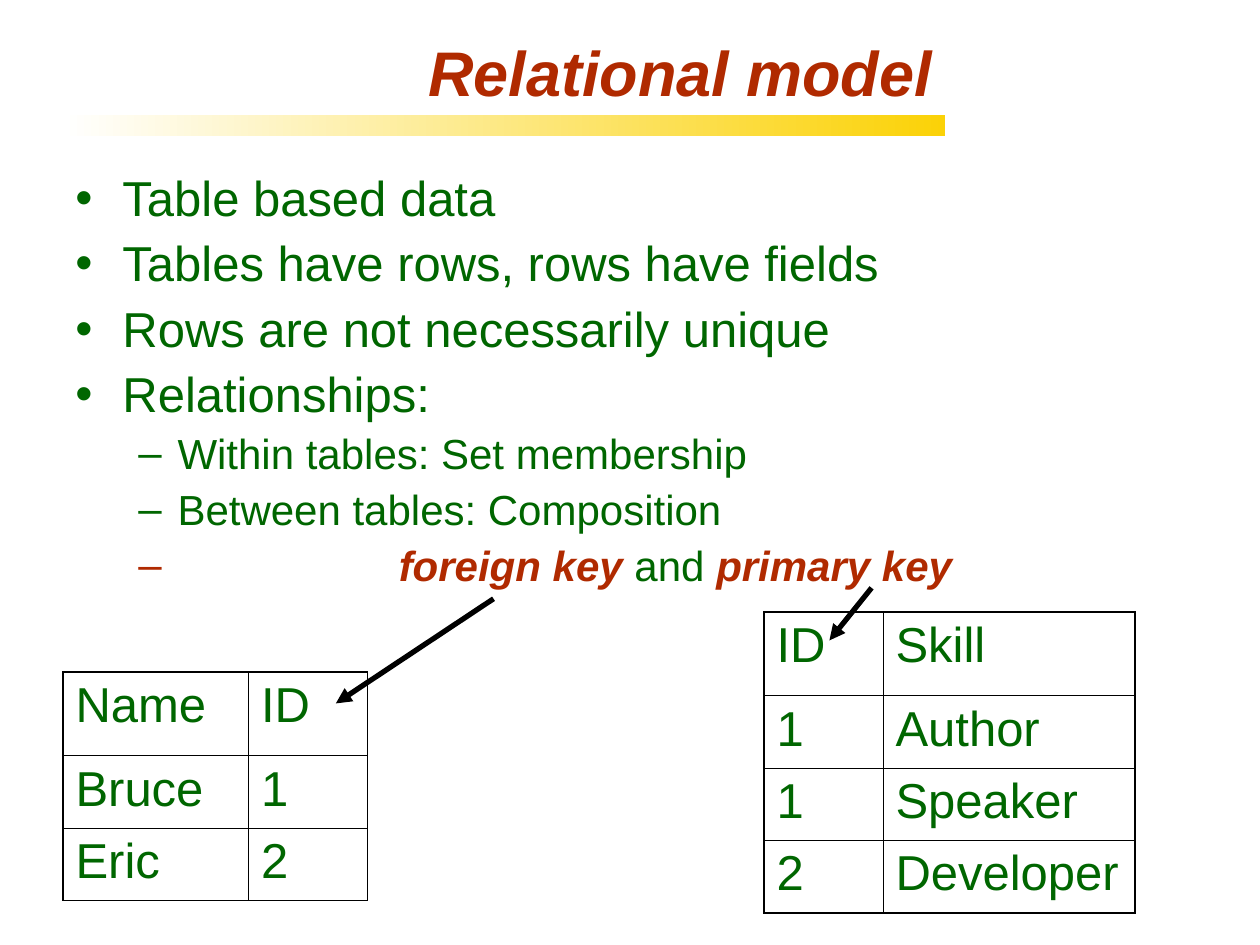
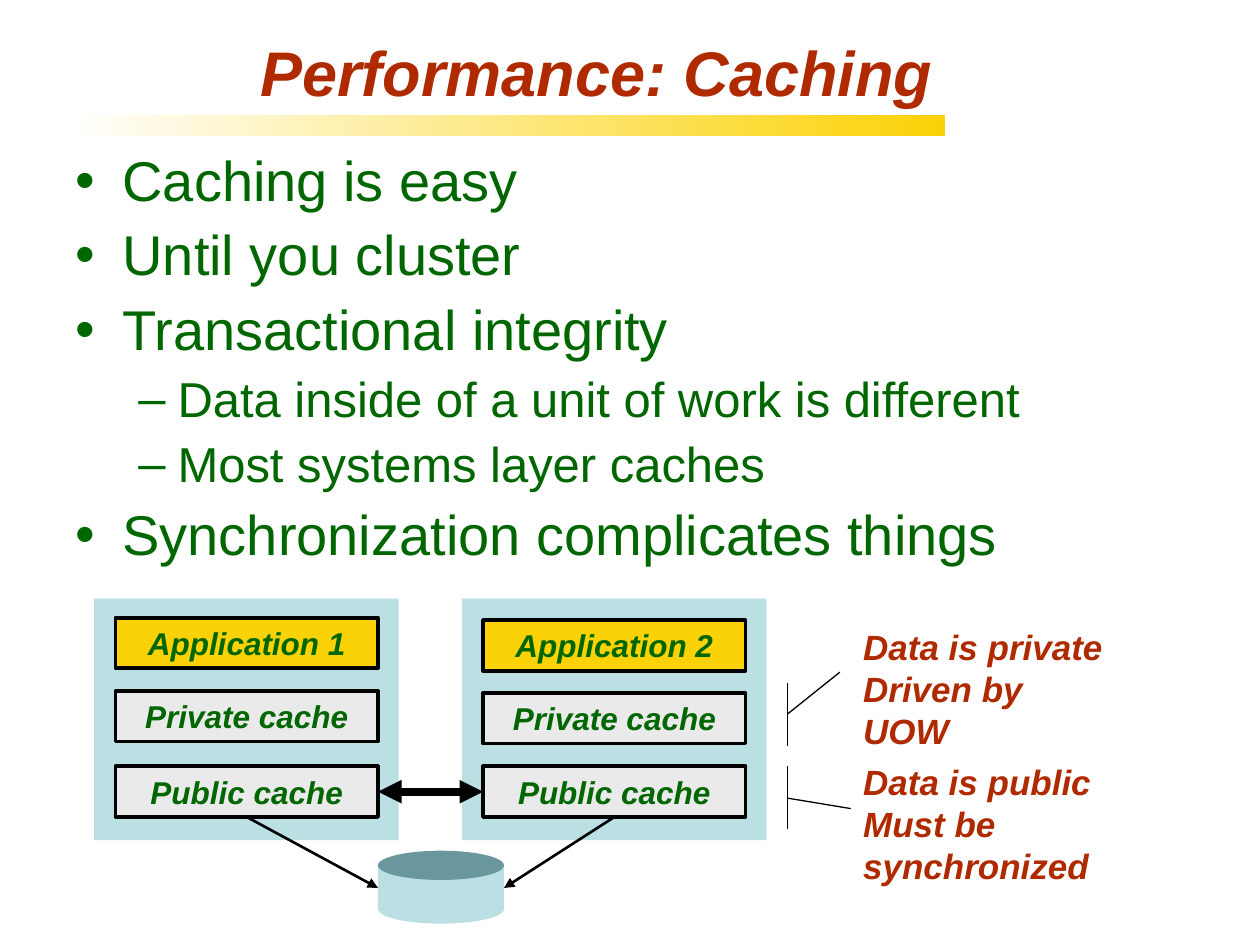
from dataclasses import dataclass
from typing import Any, NamedTuple

from lxml import etree
from pptx import Presentation
from pptx.dml.color import RGBColor
from pptx.enum import shapes as sh
from pptx.enum import text as tx
from pptx.oxml.ns import qn
from pptx.util import Cm, Pt

RED = RGBColor(0xB0, 0x2A, 0x00)
GREEN = RGBColor(0x00, 0x66, 0x00)
GOLD = RGBColor(0xFB, 0xD2, 0x07)
WHITE = RGBColor(0xFF, 0xFF, 0xFF)
BLACK = RGBColor(0x00, 0x00, 0x00)
PALE = RGBColor(0xBB, 0xE0, 0xE3)
TEAL = RGBColor(0x69, 0x97, 0x9D)
GREY = RGBColor(0xEA, 0xEA, 0xEA)

FACE = "Arial"
PLAIN = {"name": FACE, "bold": False, "italic": False}
STRONG = {"name": FACE, "bold": True, "italic": True}
RECT = sh.MSO_SHAPE.RECTANGLE
OVAL = sh.MSO_SHAPE.OVAL


class Box(NamedTuple):
    """Place and size in centimetres."""
    x: float
    y: float
    w: float
    h: float

    def cm(self) -> list[Cm]:
        return [Cm(v) for v in self]


class Dent(NamedTuple):
    """Bullet sign, text margin and hang in centimetres."""
    sign: str
    left: float
    hang: float


DENTS = (Dent("•", 0.95, 0.95), Dent("–", 2.06, 0.79))
KEYS = Dent("–", 6.52, 5.25)


@dataclass
class Item:
    """One bullet; a run starting with '*' is a key term."""
    runs: list[str]
    level: int = 0
    dent: Dent | None = None


@dataclass
class Grid:
    x: float
    y: float
    cols: list[float]
    rows: list[list[str]]


@dataclass
class Server:
    name: str
    x: float
    tops: list[float]


@dataclass
class Note:
    box: Box
    lines: list[str]
    lead: tuple[float, float]
    mid: float
    span: tuple[float, float]


BAND = Box(1.27, 2.32, 17.78, 0.42)
HEAD = Box(1.27, 0.76, 17.78, 1.35)
SIDE = 15.88

MODEL = [
    Item(["Table based data"]),
    Item(["Tables have rows, rows have fields"]),
    Item(["Rows are not necessarily unique"]),
    Item(["Relationships:"]),
    Item(["Within tables: Set membership"], 1),
    Item(["Between tables: Composition"], 1),
    Item(["*foreign key", " and ", "*primary key"], 1, KEYS),
]
CACHE = [
    Item(["Caching is easy"]),
    Item(["Until you cluster"]),
    Item(["Transactional integrity"]),
    Item(["Data inside of a unit of work is different"], 1),
    Item(["Most systems layer caches"], 1),
    Item(["Synchronization complicates things"]),
]
GRIDS = [
    Grid(1.27, 13.55, [3.74, 2.4],
         [["Name", "ID"], ["Bruce", "1"], ["Eric", "2"]]),
    Grid(15.4, 12.34, [2.4, 5.08],
         [["ID", "Skill"], ["1", "Author"], ["1", "Speaker"],
          ["2", "Developer"]]),
]
SERVERS = [
    Server("Application 1", 1.9, [12.45, 13.93, 15.45]),
    Server("Application 2", 9.31, [12.5, 13.97, 15.45]),
]
NOTES = [
    Note(Box(17.15, 12.49, 5.64, 1.96), ["Data is private", "Driven by UOW"],
         (16.93, 13.55), 14.39, (13.76, 15.03)),
    Note(Box(17.15, 15.2, 7.92, 1.96),
         ["Data is public", "Must be synchronized"],
         (17.15, 16.3), 16.09, (15.45, 16.72)),
]


def apply(obj: Any, vals: dict[str, Any]) -> None:
    for key, val in vals.items():
        setattr(obj, key, val)


def write(par: Any, words: str, size: float, color: RGBColor,
          style: dict[str, Any]) -> None:
    run = par.add_run()
    run.text = words
    apply(run.font, {**style, "size": Pt(size)})
    run.font.color.rgb = color


def node(root: Any, tag: str, **attrs: str) -> Any:
    return etree.SubElement(root, qn(tag), attrs)


def draw(shapes: Any, kind: Any, box: Box, fill: RGBColor,
         edge: float = 0) -> Any:
    """Add a filled shape, outlined in black if edge is given."""
    item = shapes.add_shape(kind, *box.cm())
    item.shadow.inherit = False
    item.fill.solid()
    item.fill.fore_color.rgb = fill
    if edge:
        item.line.color.rgb = BLACK
        item.line.width = Pt(edge)
    else:
        item.line.fill.background()
    return item


def link(slide: Any, start: tuple[float, float], end: tuple[float, float],
         width: float, *tips: str) -> Any:
    """Add a black line; tips may name headEnd and tailEnd."""
    line = slide.shapes.add_connector(
        sh.MSO_CONNECTOR.STRAIGHT, *[Cm(v) for v in (*start, *end)])
    line.line.color.rgb = BLACK
    line.line.width = Pt(width)
    props = line._element.spPr
    for tip in tips:
        node(props.find(qn("a:ln")), f"a:{tip}", type="triangle")
    node(props, "a:effectLst")
    return line


def start(deck: Any, title: str) -> Any:
    """Add a slide with its gold band and title."""
    slide = deck.slides.add_slide(deck.slide_layouts[5])
    band = draw(slide.shapes, RECT, BAND, GOLD)
    band.fill.gradient()
    band.fill.gradient_angle = 180
    for stop, color in zip(band.fill.gradient_stops, (GOLD, WHITE)):
        stop.color.rgb = color
    head = slide.shapes.title
    apply(head, dict(zip(("left", "top", "width", "height"), HEAD.cm())))
    apply(head.text_frame, {"auto_size": tx.MSO_AUTO_SIZE.NONE,
                            "word_wrap": True,
                            "vertical_anchor": tx.MSO_ANCHOR.MIDDLE})
    par = head.text_frame.paragraphs[0]
    par.alignment = tx.PP_ALIGN.RIGHT
    write(par, title, 36, RED, STRONG)
    return slide


def list_out(slide: Any, box: Box, items: list[Item], size: int) -> None:
    """Write bullets; each level is 4 points smaller."""
    frame = slide.shapes.add_textbox(*box.cm()).text_frame
    frame.word_wrap = True
    for num, item in enumerate(items):
        par = frame.add_paragraph() if num else frame.paragraphs[0]
        dent = item.dent or DENTS[item.level]
        points = size - 4 * item.level
        tint = RED if item.runs[0].startswith("*") else GREEN
        props = par._p.get_or_add_pPr()
        props.set("marL", str(Cm(dent.left)))
        props.set("indent", str(-Cm(dent.hang)))
        node(node(props, "a:buClr"), "a:srgbClr", val=str(tint))
        node(props, "a:buFont", typeface=FACE)
        node(props, "a:buChar", char=dent.sign)
        apply(par, {"level": item.level, "line_spacing": 0.9,
                    "space_before": Pt(points / 4 if num else 0)})
        for words in item.runs:
            key = words.startswith("*")
            write(par, words.lstrip("*"), points, RED if key else GREEN,
                  STRONG if key else PLAIN)


def frame_cell(cell: Any, outer: dict[str, bool]) -> None:
    """Rule the four sides, thicker on the table's rim."""
    props = cell._tc.get_or_add_tcPr()
    for side, rim in outer.items():
        rule = node(props, f"a:ln{side}", w=str(Pt(1.08 if rim else 0.45)))
        node(node(rule, "a:solidFill"), "a:srgbClr", val=str(BLACK))
    cell.fill.background()


def tabulate(slide: Any, grid: Grid) -> None:
    tall = [1.68] + [1.46] * (len(grid.rows) - 1)
    box = Box(grid.x, grid.y, sum(grid.cols), sum(tall))
    table = slide.shapes.add_table(len(tall), len(grid.cols),
                                   *box.cm()).table
    apply(table, {"first_row": False, "horz_banding": False})
    for col, wide in zip(table.columns, grid.cols):
        col.width = Cm(wide)
    for r, (row, high) in enumerate(zip(grid.rows, tall)):
        table.rows[r].height = Cm(high)
        for c, words in enumerate(row):
            cell = table.cell(r, c)
            frame_cell(cell, {"L": c == 0, "R": c == len(row) - 1,
                              "T": r == 0, "B": r == len(tall) - 1})
            write(cell.text_frame.paragraphs[0], words, 28, GREEN, PLAIN)


def serve(slide: Any, server: Server) -> Any:
    """Draw a server's layers and return the public cache."""
    draw(slide.shapes, RECT, Box(server.x, 12.07, 6.14, 4.87), PALE)
    names = (server.name, "Private cache", "Public cache")
    for name, top, fill in zip(names, server.tops, (GOLD, GREY, GREY)):
        layer = draw(slide.shapes, RECT,
                     Box(server.x + 0.43, top, 5.29, 1.02), fill, 2.25)
        layer.text_frame.vertical_anchor = tx.MSO_ANCHOR.TOP
        par = layer.text_frame.paragraphs[0]
        par.alignment = tx.PP_ALIGN.CENTER
        write(par, name, 18, GREEN, STRONG)
    return layer


def store(slide: Any) -> Any:
    """Draw the database drum and return its wall."""
    drum = slide.shapes.add_group_shape().shapes
    draw(drum, OVAL, Box(7.62, 18.03, 2.54, 0.59), PALE)
    wall = draw(drum, RECT, Box(7.62, 17.46, 2.54, 0.88), PALE)
    draw(drum, OVAL, Box(7.62, 17.15, 2.54, 0.59), TEAL)
    return wall


def remark(slide: Any, note: Note) -> None:
    frame = slide.shapes.add_textbox(*note.box.cm()).text_frame
    frame.word_wrap = False
    for num, words in enumerate(note.lines):
        par = frame.add_paragraph() if num else frame.paragraphs[0]
        write(par, words, 20, RED, STRONG)
    link(slide, note.lead, (SIDE, note.mid), 0.75)
    link(slide, (SIDE, note.span[0]), (SIDE, note.span[1]), 0.75)


def join(slide: Any, first: Any, out: int, last: Any, into: int,
         width: float, *tips: str) -> None:
    line = link(slide, (0, 0), (1, 1), width, *tips)
    line.begin_connect(first, out)
    line.end_connect(last, into)


def main() -> None:
    deck = Presentation()
    apply(deck, {"slide_width": Cm(25.4), "slide_height": Cm(19.05)})

    slide = start(deck, "Relational model")
    list_out(slide, Box(1.27, 3.39, 23.7, 8.68), MODEL, 28)
    for grid in GRIDS:
        tabulate(slide, grid)
    link(slide, (9.95, 12.07), (6.77, 14.18), 3, "tailEnd")
    link(slide, (17.57, 11.85), (16.72, 12.91), 3, "tailEnd")

    slide = start(deck, "Performance: Caching")
    list_out(slide, Box(1.27, 2.96, 23.5, 8.89), CACHE, 32)
    left, right = [serve(slide, server) for server in SERVERS]
    wall = store(slide)
    join(slide, left, 3, right, 1, 4.5, "headEnd", "tailEnd")
    join(slide, left, 2, wall, 1, 1.5, "tailEnd")
    join(slide, right, 2, wall, 3, 1.5, "tailEnd")
    for note in NOTES:
        remark(slide, note)

    deck.save("out.pptx")


if __name__ == "__main__":
    main()
